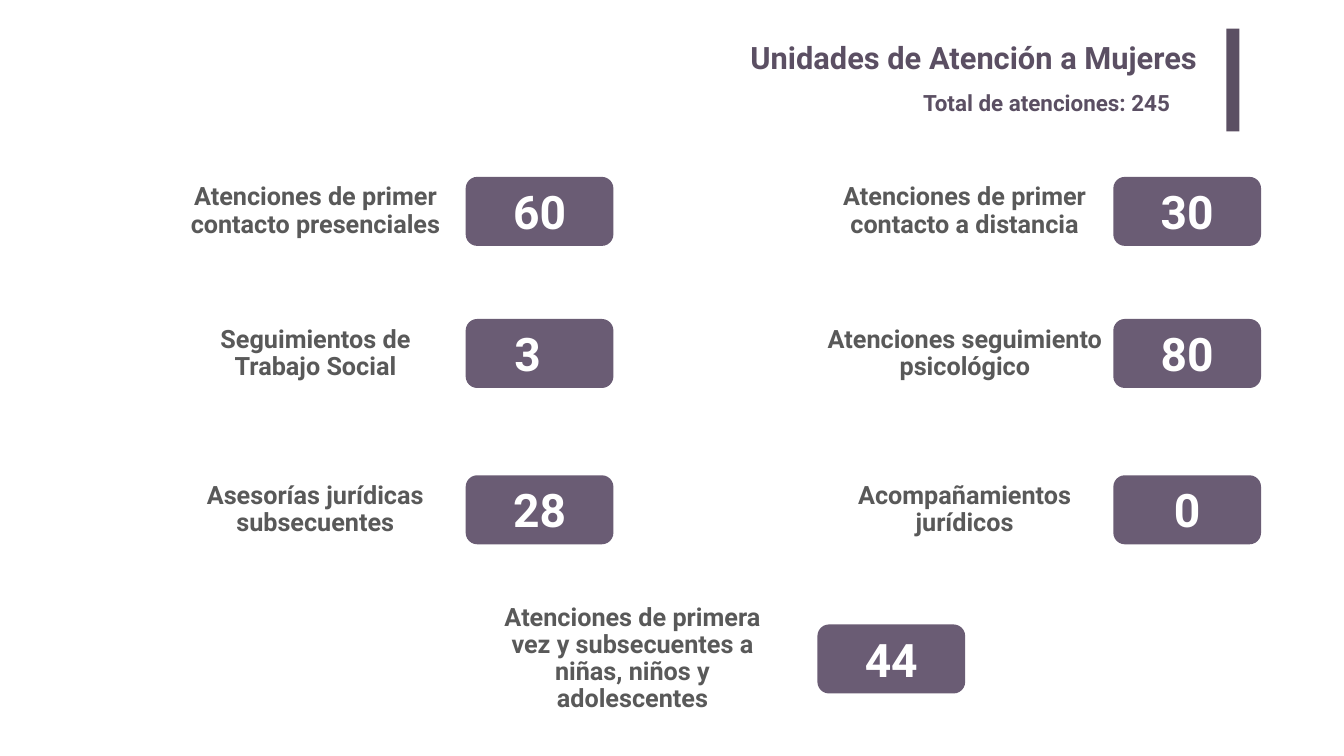
"""Build the slide on attentions given by the women's support units."""
from dataclasses import dataclass

from pptx import Presentation
from pptx.dml.color import RGBColor
from pptx.enum.shapes import MSO_SHAPE as Preset
from pptx.enum.text import MSO_ANCHOR as Anchor, MSO_AUTO_SIZE as AutoSize, PP_ALIGN as Align
from pptx.shapes.autoshape import Shape
from pptx.slide import Slide
from pptx.util import Pt

COLORS = {"heading": "5B4F63", "pill": "6A5C74", "label": "595959", "count": "FFFFFF"}
FONT = "Roboto"
PILL_WIDTH, PILL_HEIGHT = 211, 98.6
COUNT_WIDTH, COUNT_HEIGHT = 147, 87.2
LEFT_PILL, RIGHT_PILL, LAST_PILL = 665.3, 1590.5, 1167.8
ROWS = (302, 505, 728.3, 941.4)


@dataclass(frozen=True)
class Box:
    left: float
    top: float
    width: float
    height: float


@dataclass(frozen=True)
class Style:
    size: float
    color: str
    align: Align = Align.CENTER
    anchor: Anchor = Anchor.TOP
    spacing: float = 1.0
    grows: bool = False
    inset: float = 3.6


@dataclass(frozen=True)
class Indicator:
    label: str
    count: str
    pill_left: float
    middle: float
    label_left: float
    label_width: float
    label_height: float


TITLE = Style(44, "heading", Align.RIGHT, inset=7.2)
TOTAL = Style(32, "heading", Align.LEFT, grows=True)
LABEL = Style(36, "label", anchor=Anchor.MIDDLE, spacing=0.9)
COUNT = Style(66, "count", grows=True)

INDICATORS = (
    Indicator("Atenciones de primer contacto presenciales", "60",
              LEFT_PILL, ROWS[0], 253.4, 394.6, 98.6),
    Indicator("Atenciones de primer contacto a distancia", "30",
              RIGHT_PILL, ROWS[0], 1192.3, 371.5, 87.2),
    Indicator("Seguimientos de Trabajo Social", "3\t",
              LEFT_PILL, ROWS[1], 249.8, 401.8, 101.5),
    Indicator("Atenciones seguimiento psicológico", "80",
              RIGHT_PILL, ROWS[1], 1097.3, 562.3, 38.2),
    Indicator("Asesorías jurídicas subsecuentes", "28",
              LEFT_PILL, ROWS[2], 232.6, 435.6, 57.6),
    Indicator("Acompañamientos jurídicos", "0",
              RIGHT_PILL, ROWS[2], 1145.5, 465.1, 46),
    Indicator("Atenciones de primera vez y subsecuentes a niñas, niños y adolescentes", "44",
              LAST_PILL, ROWS[3], 687.6, 432, 35.3),
)


def place(box: Box) -> tuple[Pt, Pt, Pt, Pt]:
    return Pt(box.left), Pt(box.top), Pt(box.width), Pt(box.height)


def add_block(slide: Slide, preset: Preset, box: Box, color: str) -> Shape:
    block = slide.shapes.add_shape(preset, *place(box))
    block.shadow.inherit = False
    block.fill.solid()
    block.fill.fore_color.rgb = RGBColor.from_string(COLORS[color])
    block.line.fill.background()
    return block


def add_text(slide: Slide, wording: str, box: Box, style: Style) -> None:
    frame = slide.shapes.add_textbox(*place(box)).text_frame
    frame.word_wrap = True
    frame.auto_size = AutoSize.SHAPE_TO_FIT_TEXT if style.grows else AutoSize.NONE
    frame.vertical_anchor = style.anchor
    frame.margin_left = frame.margin_right = Pt(2 * style.inset)
    frame.margin_top = frame.margin_bottom = Pt(style.inset)
    paragraph = frame.paragraphs[0]
    paragraph.text = wording
    paragraph.alignment = style.align
    paragraph.line_spacing = style.spacing
    paragraph.font.name = FONT
    paragraph.font.size = Pt(style.size)
    paragraph.font.bold = True
    paragraph.font.color.rgb = RGBColor.from_string(COLORS[style.color])


def add_indicator(slide: Slide, item: Indicator) -> None:
    pill_box = Box(item.pill_left, item.middle - PILL_HEIGHT / 2, PILL_WIDTH, PILL_HEIGHT)
    count_box = Box(item.pill_left + (PILL_WIDTH - COUNT_WIDTH) / 2,
                    item.middle - COUNT_HEIGHT / 2, COUNT_WIDTH, COUNT_HEIGHT)
    label_box = Box(item.label_left, item.middle - item.label_height / 2,
                    item.label_width, item.label_height)
    add_text(slide, item.label, label_box, LABEL)
    pill = add_block(slide, Preset.ROUNDED_RECTANGLE, pill_box, "pill")
    pill.adjustments[0] = 0.167
    add_text(slide, item.count, count_box, COUNT)


def main() -> None:
    deck = Presentation()
    deck.slide_width, deck.slide_height = Pt(1920), Pt(1080)
    slide = deck.slides.add_slide(deck.slide_layouts[6])
    add_text(slide, "Unidades de Atención a Mujeres", Box(263.5, 48.2, 1461.6, 73.4), TITLE)
    add_block(slide, Preset.RECTANGLE, Box(1751.8, 41, 18.7, 146.9), "heading")
    add_text(slide, "Total de atenciones: 245", Box(1311.8, 123.1, 426.2, 46), TOTAL)
    for item in INDICATORS:
        add_indicator(slide, item)
    deck.save("out.pptx")


if __name__ == "__main__":
    main()
